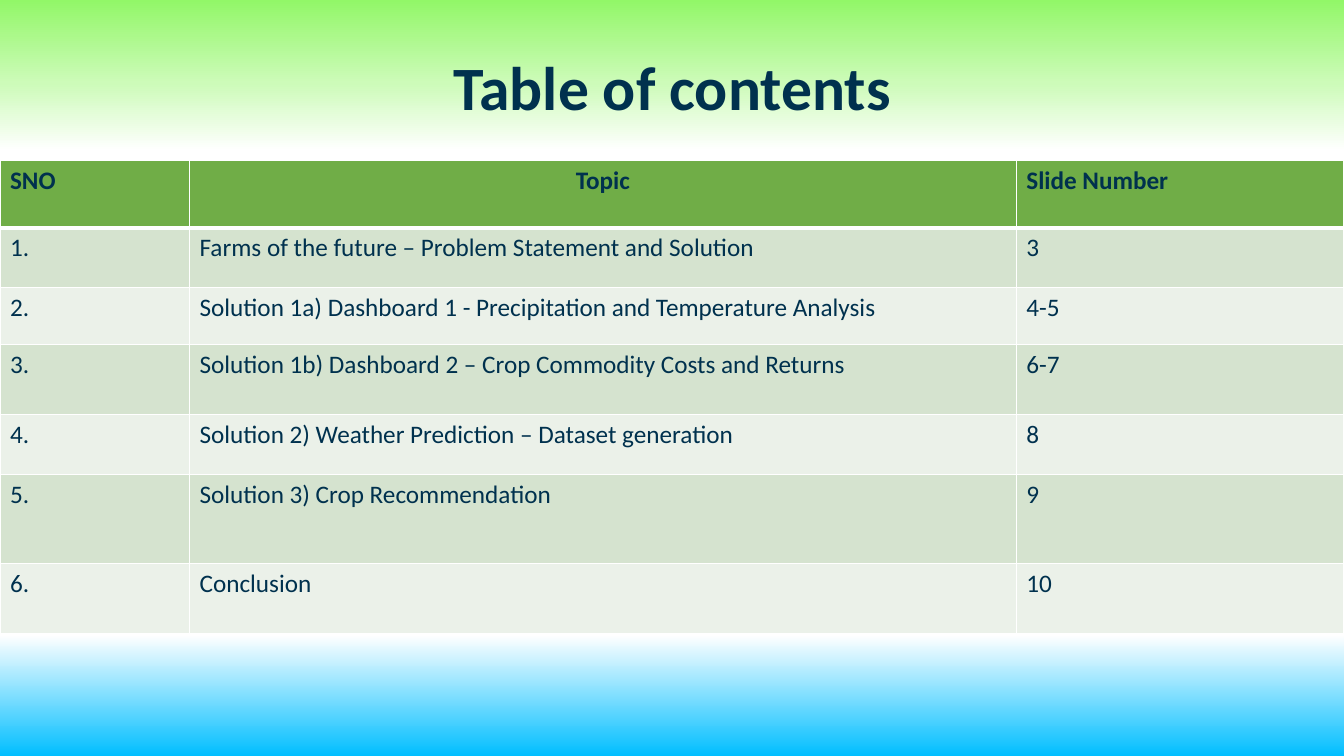
from lxml.etree import SubElement
from pptx import Presentation
from pptx.dml.color import RGBColor
from pptx.enum.text import MSO_ANCHOR, PP_ALIGN
from pptx.oxml.ns import qn
from pptx.util import Inches, Pt

COLORS = {
    "navy": "00314E",
    "header": "70AD47",
    "band_dark": "D5E3CF",
    "band_light": "EBF1E9",
    "white": "FFFFFF",
    "lime": "92F768",
    "pale_lime": "CDFBB9",
    "sky": "01BEFF",
}


def write_text(frame, text, size=18, bold=False, align=PP_ALIGN.LEFT, line_spacing=None):
    paragraph = frame.paragraphs[0]
    paragraph.alignment = align
    paragraph.line_spacing = line_spacing
    run = paragraph.add_run()
    run.text = text
    run.font.name = "Calibri"
    run.font.size = Pt(size)
    run.font.bold = bold
    run.font.color.rgb = RGBColor.from_string(COLORS["navy"])


def add_border(cell, side, width):
    line = SubElement(cell._tc.get_or_add_tcPr(), qn(f"a:ln{side}"), w=str(Pt(width)))
    fill = SubElement(line, qn("a:solidFill"))
    SubElement(fill, qn("a:srgbClr"), val=COLORS["white"])


prs = Presentation()
prs.slide_width = Inches(13.33)
prs.slide_height = Inches(7.5)
slide = prs.slides.add_slide(prs.slide_layouts[6])

# Background: lime at the top, white in the middle, sky at the bottom
background = slide.background.fill
background.gradient()
background.gradient_angle = 270
stops = slide.element.find(".//" + qn("a:gsLst"))
stops.clear()
for percent, color in [(0, "lime"), (11, "pale_lime"), (20, "white"), (84, "white"), (100, "sky")]:
    stop = SubElement(stops, qn("a:gs"), pos=str(percent * 1000))
    SubElement(stop, qn("a:srgbClr"), val=COLORS[color])

# Title
title = slide.shapes.add_textbox(Inches(0.92), Inches(0.4), Inches(11.5), Inches(1)).text_frame
title.word_wrap = True
title.vertical_anchor = MSO_ANCHOR.MIDDLE
write_text(title, "Table of contents", size=44, bold=True, align=PP_ALIGN.CENTER, line_spacing=0.9)

# Contents table
topics = [
    ("Farms of the future – Problem Statement and Solution", "3"),
    ("Solution 1a) Dashboard 1 - Precipitation and Temperature Analysis", "4-5"),
    ("Solution 1b) Dashboard 2 – Crop Commodity Costs and Returns", "6-7"),
    ("Solution 2) Weather Prediction – Dataset generation", "8"),
    ("Solution 3) Crop Recommendation", "9"),
    ("Conclusion", "10"),
]
entries = [("SNO", "Topic", "Slide Number")]
entries += [(f"{number}.", topic, pages) for number, (topic, pages) in enumerate(topics, 1)]
column_widths = [1.88, 8.2, 3.25]
row_heights = [0.67, 0.59, 0.57, 0.69, 0.6, 0.88, 0.7]

contents = slide.shapes.add_table(
    len(entries), len(column_widths), Inches(0), Inches(1.59), Inches(13.33), Inches(4.7)
).table
for column, width in zip(contents.columns, column_widths):
    column.width = Inches(width)

for r, (entry, height) in enumerate(zip(entries, row_heights)):
    contents.rows[r].height = Inches(height)
    is_header = r == 0
    row_color = "header" if is_header else "band_dark" if r % 2 else "band_light"
    for c, text in enumerate(entry):
        cell = contents.cell(r, c)
        centered = is_header and c == 1
        write_text(cell.text_frame, text, bold=is_header,
                   align=PP_ALIGN.CENTER if centered else PP_ALIGN.LEFT)
        for side in "LRTB":
            under_header = (r, side) in [(0, "B"), (1, "T")]
            add_border(cell, side, 3 if under_header else 1)
        cell.fill.solid()
        cell.fill.fore_color.rgb = RGBColor.from_string(COLORS[row_color])

prs.save("out.pptx")
